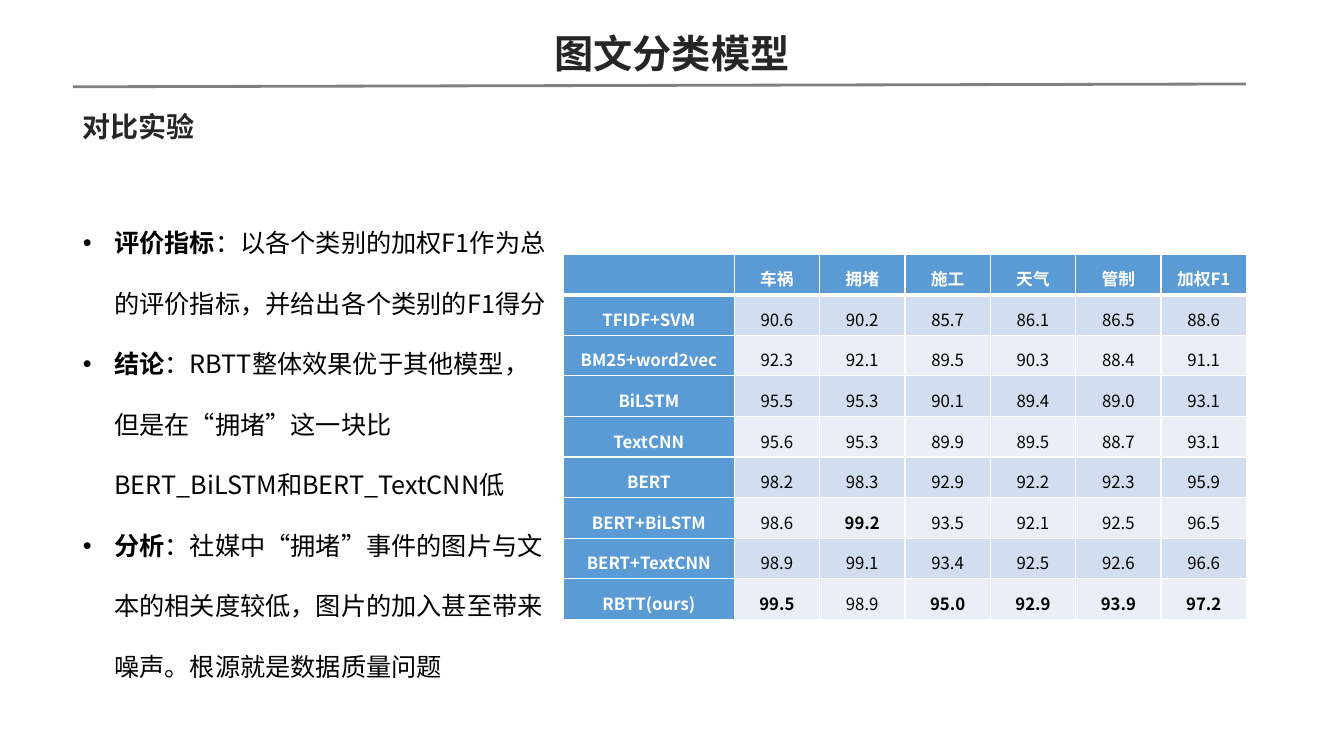
from lxml import etree
from pptx import Presentation
from pptx.dml.color import RGBColor
from pptx.enum.shapes import MSO_CONNECTOR
from pptx.enum.text import MSO_ANCHOR, MSO_AUTO_SIZE, PP_ALIGN
from pptx.oxml.ns import qn
from pptx.util import Pt

STRAIGHT = MSO_CONNECTOR.STRAIGHT
TOP = MSO_ANCHOR.TOP
NO_FIT = MSO_AUTO_SIZE.NONE
LEFT, CENTER = PP_ALIGN.LEFT, PP_ALIGN.CENTER

FONT = "Noto Sans CJK SC"
COLORS = {
    "heading": "262626",
    "text": "000000",
    "rule": "808080",
    "white": "FFFFFF",
    "header": "5B9BD5",
    "odd": "D2DEEF",
    "even": "EAEFF7",
}
CATEGORIES = ["", "车祸", "拥堵", "施工", "天气", "管制", "加权F1"]
SCORES = {
    "TFIDF+SVM": [90.6, 90.2, 85.7, 86.1, 86.5, 88.6],
    "BM25+word2vec": [92.3, 92.1, 89.5, 90.3, 88.4, 91.1],
    "BiLSTM": [95.5, 95.3, 90.1, 89.4, 89.0, 93.1],
    "TextCNN": [95.6, 95.3, 89.9, 89.5, 88.7, 93.1],
    "BERT": [98.2, 98.3, 92.9, 92.2, 92.3, 95.9],
    "BERT+BiLSTM": [98.6, 99.2, 93.5, 92.1, 92.5, 96.5],
    "BERT+TextCNN": [98.9, 99.1, 93.4, 92.5, 92.6, 96.6],
    "RBTT(ours)": [99.5, 98.9, 95.0, 92.9, 93.9, 97.2],
}
FINDINGS = [
    ("评价指标", "：以各个类别的加权F1作为总的评价指标，并给出各个类别的F1得分"),
    ("结论", "：RBTT整体效果优于其他模型，但是在“拥堵”这一块比BERT_BiLSTM和BERT_TextCNN低"),
    ("分析", "：社媒中“拥堵”事件的图片与文本的相关度较低，图片的加入甚至带来噪声。根源就是数据质量问题"),
]


class SlideBuilder:
    """Draws styled elements on one slide, with lengths in points."""

    def __init__(self, deck):
        self.slide = deck.slides.add_slide(deck.slide_layouts[1])

    def color(self, name):
        return RGBColor.from_string(COLORS[name])

    def style(self, run, size, color, bold):
        run.font.size = Pt(size)
        run.font.bold = bold
        run.font.color.rgb = self.color(color)
        run.font.name = FONT
        etree.SubElement(run._r.get_or_add_rPr(), qn("a:ea"), typeface=FONT)

    def layout(self, paragraph, align, spacing):
        paragraph.alignment = align
        paragraph.line_spacing = spacing
        paragraph.space_before = Pt(0)

    def place(self, box, left, top, width, height):
        box.left, box.top = Pt(left), Pt(top)
        box.width, box.height = Pt(width), Pt(height)
        frame = box.text_frame
        frame.word_wrap = True
        frame.auto_size = NO_FIT
        frame.vertical_anchor = TOP
        return frame

    def fill_text(self, frame, text, size, color, bold, align, spacing):
        frame.text = text
        paragraph = frame.paragraphs[0]
        self.layout(paragraph, align, spacing)
        for run in paragraph.runs:
            self.style(run, size, color, bold)

    def title(self, text, *bounds):
        frame = self.place(self.slide.shapes.title, *bounds)
        self.fill_text(frame, text, 28, "heading", True, CENTER, 1.0)

    def subtitle(self, text, *bounds):
        frame = self.place(self.slide.shapes.add_textbox(0, 0, 0, 0), *bounds)
        self.fill_text(frame, text, 20, "heading", True, LEFT, 1.5)

    def bullets(self, items, *bounds):
        frame = self.place(self.slide.placeholders[1], *bounds)
        for index, parts in enumerate(items):
            paragraph = frame.add_paragraph() if index else frame.paragraphs[0]
            self.layout(paragraph, LEFT, 2.0)
            properties = paragraph._p.get_or_add_pPr()
            properties.set("marL", str(Pt(22.5)))
            properties.set("indent", str(-Pt(22.5)))
            for part, bold in zip(parts, (True, False)):
                run = paragraph.add_run()
                run.text = part
                self.style(run, 18, "text", bold)

    def rule(self, x1, y1, x2, y2):
        line = self.slide.shapes.add_connector(STRAIGHT, Pt(x1), Pt(y1), Pt(x2), Pt(y2))
        line.line.color.rgb = self.color("rule")
        line.line.width = Pt(2)
        etree.SubElement(line._element.spPr, qn("a:effectLst"))

    def borders(self, cell, widths):
        properties = cell._tc.get_or_add_tcPr()
        for side, width in zip("LRTB", widths):
            edge = etree.SubElement(properties, qn(f"a:ln{side}"), w=str(Pt(width)))
            fill = etree.SubElement(edge, qn("a:solidFill"))
            etree.SubElement(fill, qn("a:srgbClr"), val=COLORS["white"])

    def cell(self, cell, text, fill, color, bold, widths):
        cell.margin_left = cell.margin_right = Pt(5)
        cell.margin_top = cell.margin_bottom = 0
        self.borders(cell, widths)
        cell.fill.solid()
        cell.fill.fore_color.rgb = self.color(fill)
        self.fill_text(cell.text_frame, text, 12, color, bold, CENTER, 1.5)

    def score_table(self, categories, scores, left, top, widths, row_height):
        best = [max(column) for column in zip(*scores.values())]
        table = self.slide.shapes.add_table(
            len(scores) + 1, len(categories), Pt(left), Pt(top),
            Pt(sum(widths)), Pt(row_height * (len(scores) + 1))).table
        for column, width in zip(table.columns, widths):
            column.width = Pt(width)
        for row in table.rows:
            row.height = Pt(row_height)
        for col, category in enumerate(categories):
            self.cell(table.cell(0, col), category, "header", "white", True, (1, 1, 1, 3))
        for row, (model, values) in enumerate(scores.items(), 1):
            edges = (1, 1, 3 if row == 1 else 1, 1)
            self.cell(table.cell(row, 0), model, "header", "white", True, edges)
            band = "odd" if row % 2 else "even"
            for col, value in enumerate(values, 1):
                self.cell(table.cell(row, col), f"{value:.1f}", band, "text",
                          value == best[col - 1], edges)


def main():
    deck = Presentation()
    deck.slide_width, deck.slide_height = Pt(960), Pt(540)
    page = SlideBuilder(deck)
    page.rule(52, 62, 890, 60)
    page.title("图文分类模型", 0, 17.3, 960, 41)
    page.subtitle("对比实验", 52, 62.6, 162, 39.6)
    page.score_table(CATEGORIES, SCORES, 402.5, 181.5, [122] + [61] * 6, 29)
    page.bullets(FINDINGS, 52, 137.5, 350.5, 350)
    deck.save("out.pptx")


if __name__ == "__main__":
    main()
